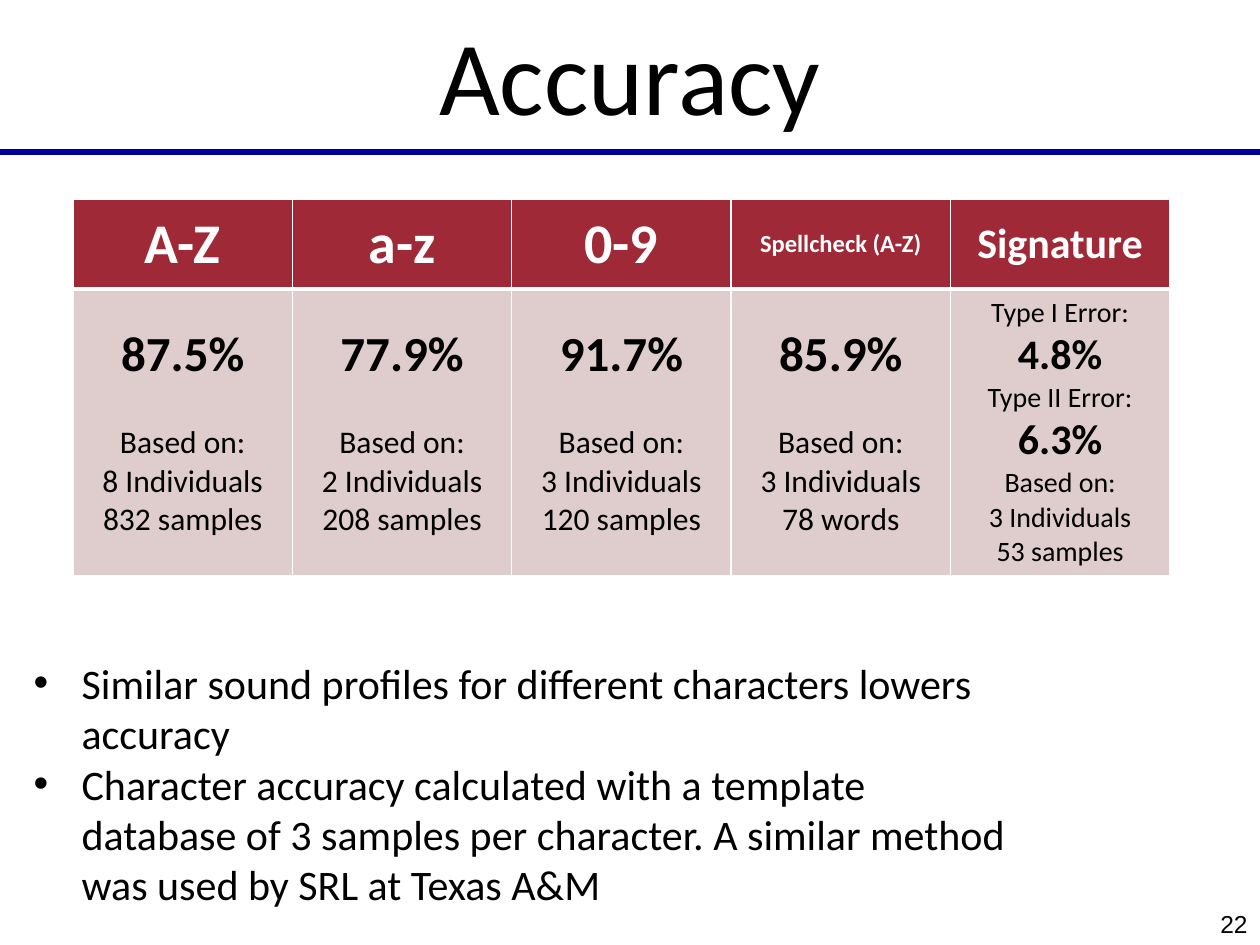
import pptx
import pptx.util
import pptx.dml.color
import pptx.enum.shapes
import pptx.enum.text
import pptx.oxml
import pptx.oxml.ns

ANCHOR = pptx.enum.text.MSO_ANCHOR
ALIGN = pptx.enum.text.PP_ALIGN

# Content
TITLE = "Accuracy"
PAGE_NUMBER = "22"
HEADERS = [("A-Z", 32), ("a-z", 32), ("0-9", 32), ("Spellcheck (A-Z)", 14), ("Signature", 24)]
RATES = [
    ("87.5%", "8 Individuals", "832 samples"),
    ("77.9%", "2 Individuals", "208 samples"),
    ("91.7%", "3 Individuals", "120 samples"),
    ("85.9%", "3 Individuals", "78 words"),
]
# Each line: text, size, bold, space after in points
SIGNATURE_LINES = [
    ("Type I Error:", 16, False, 0),
    ("4.8%", 24, True, 0),
    ("Type II Error:", 16, False, 0),
    ("6.3%", 24, True, 0),
    ("Based on:", 16, False, 0),
    ("3 Individuals", 16, False, 0),
    ("53 samples", 16, False, 0),
]
BULLETS = [
    "Similar sound profiles for different characters lowers accuracy",
    "Character accuracy calculated with a template database of 3 samples per character. "
    "A similar method was used by SRL at Texas A&M",
]

# Places in px: left, top, width, height
TITLE_BOX = (147, 0, 966, 147)
RULE_BOX = (0, 149, 1260, 6)
TABLE_BOX = (73, 199, 1097, 376)
BODY_BOX = (21, 651, 1004, 267)
NUMBER_BOX = (1008, 902, 252, 43)
HEADER_HEIGHT = 90
BULLET_INDENT = 48

BLACK, WHITE, NAVY, RED, PINK = "000000", "FFFFFF", "000099", "9F2936", "DFCDCE"


def px(length):
    return pptx.util.Emu(round(length * 914400 / 126))


def color(value):
    return pptx.dml.color.RGBColor.from_string(value)


def place(shape, box):
    shape.left, shape.top, shape.width, shape.height = map(px, box)


def format_text(paragraph, size, font="Calibri", ink=BLACK, bold=False, align=ALIGN.CENTER):
    paragraph.alignment = align
    for run in paragraph.runs:
        run.font.name = font
        run.font.size = pptx.util.Pt(size)
        run.font.bold = bold
        run.font.color.rgb = color(ink)


def set_borders(cell, top, bottom):
    properties = cell._tc.get_or_add_tcPr()
    widths = [("lnL", 1), ("lnR", 1), ("lnT", top), ("lnB", bottom)]
    for position, (tag, width) in enumerate(widths):
        properties.insert(position, pptx.oxml.parse_xml(
            f'<a:{tag} {pptx.oxml.ns.nsdecls("a")} w="{width * 12700}">'
            f'<a:solidFill><a:srgbClr val="{WHITE}"/></a:solidFill></a:{tag}>'))


def fill_cell(cell, lines, fill, ink, top, bottom):
    cell.fill.solid()
    cell.fill.fore_color.rgb = color(fill)
    cell.vertical_anchor = ANCHOR.MIDDLE
    set_borders(cell, top, bottom)
    cell.text_frame.text = "\n".join(line[0] for line in lines)
    for paragraph, (_, size, bold, after) in zip(cell.text_frame.paragraphs, lines):
        format_text(paragraph, size, ink=ink, bold=bold)
        paragraph.space_after = pptx.util.Pt(after)


presentation = pptx.Presentation()
presentation.slide_width, presentation.slide_height = px(1260), px(945)
slide = presentation.slides.add_slide(presentation.slide_layouts[1])

# Title and the rule under it
title = slide.shapes.title
place(title, TITLE_BOX)
title.text_frame.text = TITLE
title.text_frame.vertical_anchor = ANCHOR.MIDDLE
title.text_frame.auto_size = pptx.enum.text.MSO_AUTO_SIZE.NONE
format_text(title.text_frame.paragraphs[0], 60)

rule = slide.shapes.add_shape(pptx.enum.shapes.MSO_SHAPE.RECTANGLE, *map(px, RULE_BOX))
rule.shadow.inherit = False
rule.fill.solid()
rule.fill.fore_color.rgb = color(NAVY)
rule.line.fill.background()

# Accuracy table
table = slide.shapes.add_table(2, len(HEADERS), *map(px, TABLE_BOX)).table
table.rows[0].height = px(HEADER_HEIGHT)
table.rows[1].height = px(TABLE_BOX[3] - HEADER_HEIGHT)
results = [
    [(rate, 28, True, 22), ("Based on:", 18, False, 0),
     (people, 18, False, 0), (amount, 18, False, 0)]
    for rate, people, amount in RATES
] + [SIGNATURE_LINES]
for index, ((header, size), lines) in enumerate(zip(HEADERS, results)):
    table.columns[index].width = px(TABLE_BOX[2] / len(HEADERS))
    fill_cell(table.cell(0, index), [(header, size, True, 0)], RED, WHITE, 1, 3)
    fill_cell(table.cell(1, index), lines, PINK, BLACK, 3, 1)

# Bulleted notes on the method
body = slide.placeholders[1]
place(body, BODY_BOX)
body.text_frame.text = "\n".join(BULLETS)
body.text_frame.auto_size = pptx.enum.text.MSO_AUTO_SIZE.NONE
for paragraph in body.text_frame.paragraphs:
    format_text(paragraph, 24, align=ALIGN.LEFT)
    paragraph.space_before = pptx.util.Pt(0)
    properties = paragraph._p.get_or_add_pPr()
    properties.set("marL", str(px(BULLET_INDENT)))
    properties.set("indent", str(-px(BULLET_INDENT)))

# Page number
number = slide.shapes.add_textbox(*map(px, NUMBER_BOX))
number.text_frame.word_wrap = True
number.text_frame.vertical_anchor = ANCHOR.MIDDLE
number.text_frame.text = PAGE_NUMBER
format_text(number.text_frame.paragraphs[0], 14, font="Arial", align=ALIGN.RIGHT)

presentation.save("out.pptx")
